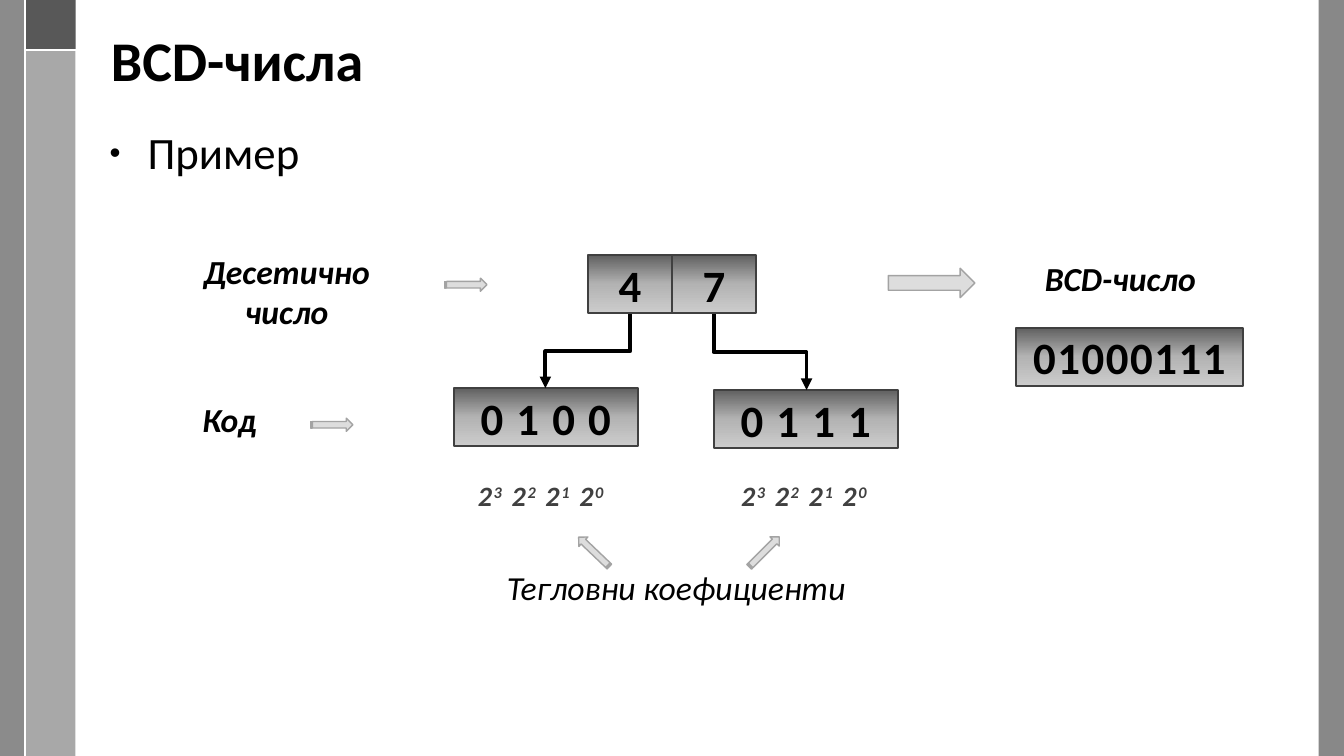
import copy
from dataclasses import dataclass

import pptx
import pptx.dml.color
import pptx.enum.shapes
import pptx.enum.text
import pptx.oxml
import pptx.oxml.ns
import pptx.util

Cm = pptx.util.Cm
Pt = pptx.util.Pt
Kind = pptx.enum.shapes.MSO_SHAPE
Link = pptx.enum.shapes.MSO_CONNECTOR
Align = pptx.enum.text.PP_ALIGN
Anchor = pptx.enum.text.MSO_ANCHOR
qn = pptx.oxml.ns.qn


@dataclass(frozen=True)
class Theme:
    font: str = "Calibri"
    ink: str = "000000"
    edge: str = "404040"
    rail: str = "7C7C7C"
    cap: str = "3E3E3E"
    white: str = "FFFFFF"
    arrow: str = "DDDDDD"
    rim: str = "A3A3A3"
    fade: tuple = ((0, "606060"), (0.5, "B3B3B3"), (1, "CCCCCC"))
    title: int = 40
    large: int = 32
    label: int = 24
    power: int = 20


@dataclass(frozen=True)
class Box:
    x: float
    y: float
    w: float
    h: float

    def cm(self) -> tuple:
        return Cm(self.x), Cm(self.y), Cm(self.w), Cm(self.h)


@dataclass(frozen=True)
class Rail:
    box: Box
    color: str
    alpha: int


@dataclass(frozen=True)
class Cell:
    text: str
    box: Box
    space: int = 0


@dataclass(frozen=True)
class Arrow:
    box: Box
    turn: float = 0
    kind: Kind = Kind.STRIPED_RIGHT_ARROW


@dataclass(frozen=True)
class Label:
    text: str
    box: Box
    bold: bool = True
    align: Align = Align.CENTER


@dataclass(frozen=True)
class Path:
    x1: float
    y1: float
    x2: float
    y2: float


T = Theme()
HIGH = 1.47    # height of every number cell
DIGIT = 2.12   # width of a decimal digit
CODE = 4.65    # width of a four-bit code
SMALL = (1.07, 0.33)

RAILS = [
    Rail(Box(33.22, 0, 0.64, 19.05), T.rail, 90),
    Rail(Box(0.66, 0, 1.24, 19.05), T.rail, 66),
    Rail(Box(0, 0, 0.64, 19.05), T.rail, 88),
    Rail(Box(0.64, 0, 1.27, 1.27), T.cap, 75),
]
RULES = [Path(0.64, 1.27, 1.91, 1.27), Path(0.64, 0, 0.64, 19.05)]
CELLS = [Cell(n, Box(14.81 + i * DIGIT, 6.43, DIGIT, HIGH)) for i, n in enumerate("47")] + [
    Cell("0 1 0 0", Box(11.43, 9.78, CODE, HIGH), 110),
    Cell("0 1 1 1", Box(17.98, 9.83, CODE, HIGH), 110),
    Cell("01000111", Box(25.6, 8.26, 5.72, HIGH), 110),
]
ARROWS = [
    Arrow(Box(11.2, 7.01, *SMALL)),
    Arrow(Box(7.82, 10.54, *SMALL)),
    Arrow(Box(14.43, 13.74, *SMALL), 223.7),
    Arrow(Box(18.72, 13.74, *SMALL), 315.1),
    Arrow(Box(22.38, 6.76, 2.18, 0.74), 180, Kind.LEFT_ARROW),
]
LABELS = [
    Label("Десетично\vчисло", Box(4.85, 6.2, 4.75, 2.31)),
    Label("Код", Box(4.85, 9.93, 1.93, 1.27), align=Align.LEFT),
    Label("BCD-число", Box(26.04, 6.38, 4.37, 1.27)),
    Label("Тегловни коефициенти", Box(12.47, 14.17, 9.14, 1.27), bold=False),
]
POWERS = [Box(11.79, 11.94, 3.81, 1.12), Box(18.42, 11.94, 3.81, 1.12)]
BENDS = [Path(15.88, 7.92, 13.74, 9.78), Path(17.98, 7.92, 20.32, 9.83)]


def rgb(code: str):
    return pptx.dml.color.RGBColor.from_string(code)


def style(par, size: int, color: str = T.ink, bold: bool = False,
          slant: bool = False, space: int = 0) -> None:
    for run in par.runs:
        font = run.font
        font.name, font.size = T.font, Pt(size)
        font.bold, font.italic = bold, slant
        font.color.rgb = rgb(color)
        if space:
            font._element.set("spc", str(space))


def add_shape(slide, kind: Kind, box: Box):
    shape = slide.shapes.add_shape(kind, *box.cm())
    shape.shadow.inherit = False
    return shape


def add_rail(slide, rail: Rail) -> None:
    shape = add_shape(slide, Kind.RECTANGLE, rail.box)
    shape.fill.solid()
    shape.fill.fore_color.rgb = rgb(rail.color)
    shape.line.fill.background()
    tint = shape._element.spPr.find(qn("a:solidFill"))[0]
    alpha = pptx.oxml.parse_xml(f'<a:alpha {pptx.oxml.ns.nsdecls("a")} val="{rail.alpha * 1000}"/>')
    tint.append(alpha)


def add_line(slide, kind: Link, path: Path, color: str, width: float):
    line = slide.shapes.add_connector(kind, Cm(path.x1), Cm(path.y1), Cm(path.x2), Cm(path.y2))
    line.line.color.rgb = rgb(color)
    line.line.width = Pt(width)
    line._element.spPr.append(pptx.oxml.parse_xml(f'<a:effectLst {pptx.oxml.ns.nsdecls("a")}/>'))
    return line


def add_bend(slide, path: Path) -> None:
    # An elbow turned by 90 degrees leaves downwards
    mid_x, mid_y = (path.x1 + path.x2) / 2, (path.y1 + path.y2) / 2
    run, drop = (path.x2 - path.x1) / 2, (path.y2 - path.y1) / 2
    flat = Path(mid_x - drop, mid_y + run, mid_x + drop, mid_y - run)
    line = add_line(slide, Link.ELBOW, flat, T.ink, 2.75)
    line._element.spPr.find(qn("a:xfrm")).set("rot", "5400000")
    tip = pptx.oxml.parse_xml(f'<a:tailEnd {pptx.oxml.ns.nsdecls("a")} type="triangle"/>')
    line.line._get_or_add_ln().append(tip)


def add_cell(slide, cell: Cell) -> None:
    shape = add_shape(slide, Kind.RECTANGLE, cell.box)
    shape.fill.gradient()
    shape.fill.gradient_angle = 270
    stops = shape._element.spPr.find(qn("a:gradFill")).find(qn("a:gsLst"))
    stops.append(copy.deepcopy(stops[0]))
    for stop, (place, color) in zip(shape.fill.gradient_stops, T.fade):
        stop.position = place
        stop.color.rgb = rgb(color)
    shape.line.color.rgb = rgb(T.edge)
    shape.line.width = Pt(1.5)
    frame = shape.text_frame
    frame.text = cell.text
    frame.word_wrap = False
    frame.vertical_anchor = Anchor.MIDDLE
    frame.paragraphs[0].alignment = Align.CENTER
    style(frame.paragraphs[0], T.large, bold=True, space=cell.space)


def add_arrow(slide, arrow: Arrow) -> None:
    shape = add_shape(slide, arrow.kind, arrow.box)
    shape.rotation = arrow.turn
    shape.fill.solid()
    shape.fill.fore_color.rgb = rgb(T.arrow)
    shape.line.color.rgb = rgb(T.rim)
    shape.line.width = Pt(1)


def add_label(slide, label: Label) -> None:
    frame = slide.shapes.add_textbox(*label.box.cm()).text_frame
    frame.word_wrap = False
    frame.text = label.text
    frame.paragraphs[0].alignment = label.align
    style(frame.paragraphs[0], T.label, bold=label.bold, slant=True)


def add_power(slide, box: Box) -> None:
    frame = slide.shapes.add_textbox(*box.cm()).text_frame
    frame.word_wrap = False
    par = frame.paragraphs[0]
    for rank in "3210":
        par.add_run().text = "2" if rank == "3" else " 2"
        raised = par.add_run()
        raised.text = rank
        raised.font._element.set("baseline", "30000")
    style(par, T.power, T.edge, bold=True, slant=True, space=120)


def add_title(slide) -> None:
    title = slide.shapes.title
    title.left, title.top, title.width, title.height = Box(2.54, 0.48, 30.28, 2.01).cm()
    frame = title.text_frame
    frame.text = "BCD-числа"
    frame.vertical_anchor = Anchor.BOTTOM
    par = frame.paragraphs[0]
    par.alignment, par.line_spacing = Align.LEFT, 0.9
    style(par, T.title, bold=True)


def add_body(slide) -> None:
    frame = slide.shapes.add_textbox(*Box(2.51, 3.18, 30.28, 15.04).cm()).text_frame
    frame.word_wrap = True
    frame.text = "Пример"
    par = frame.paragraphs[0]
    par.line_spacing, par.space_before = 0.9, Pt(14)
    style(par, T.large)
    props = par._p.get_or_add_pPr()
    props.set("marL", str(Cm(0.96)))
    props.set("indent", str(-Cm(0.96)))
    for tag in ('buSzPct {} val="70000"', 'buFont {} typeface="Arial"', 'buChar {} char="•"'):
        props.append(pptx.oxml.parse_xml(f'<a:{tag.format(pptx.oxml.ns.nsdecls("a"))}/>'))


def main() -> None:
    deck = pptx.Presentation()
    deck.slide_width, deck.slide_height = Cm(33.86), Cm(19.05)
    slide = deck.slides.add_slide(deck.slide_layouts[5])
    # Side rails
    for rail in RAILS:
        add_rail(slide, rail)
    for rule in RULES:
        add_line(slide, Link.STRAIGHT, rule, T.white, 1.5)
    # Heading
    add_title(slide)
    add_body(slide)
    # Diagram
    for draw, items in ((add_cell, CELLS), (add_arrow, ARROWS), (add_label, LABELS),
                        (add_power, POWERS), (add_bend, BENDS)):
        for item in items:
            draw(slide, item)
    deck.save("out.pptx")


if __name__ == "__main__":
    main()
